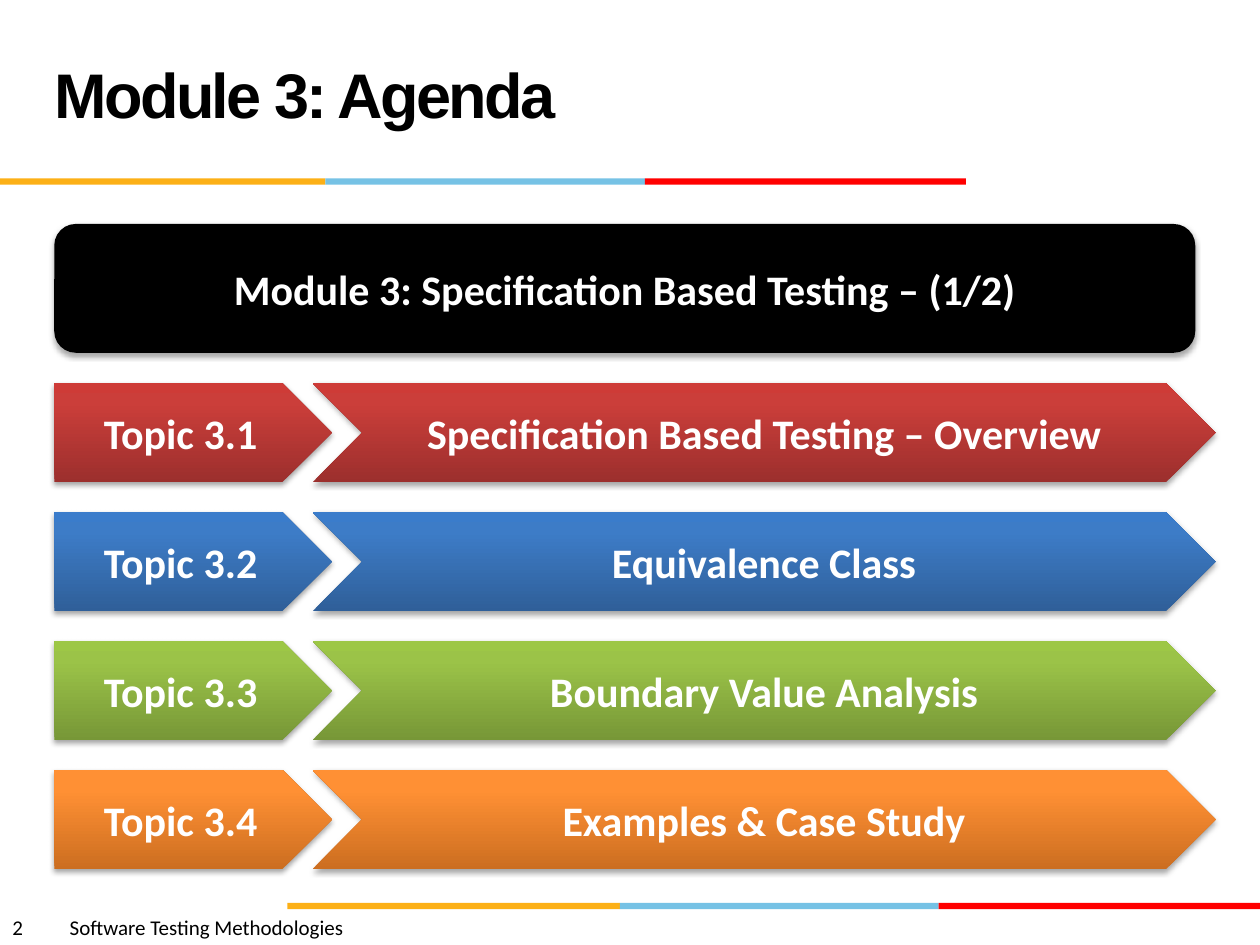
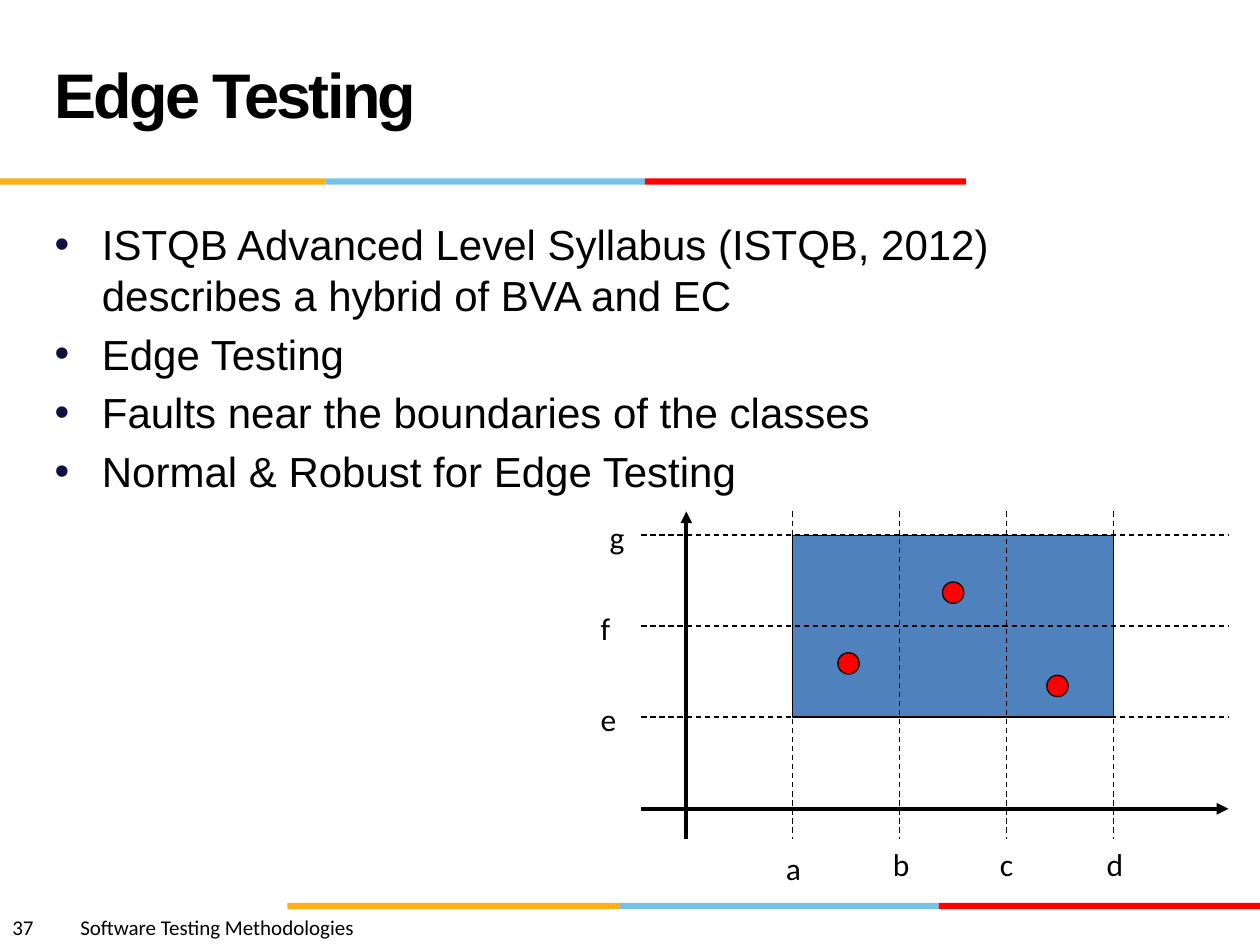
import copy

import lxml.etree as etree
import pptx
import pptx.dml.color
import pptx.enum.dml
import pptx.enum.shapes
import pptx.enum.text
import pptx.oxml.ns
import pptx.util

Pt = pptx.util.Pt
RGB = pptx.dml.color.RGBColor
qn = pptx.oxml.ns.qn
SHAPE = pptx.enum.shapes.MSO_SHAPE
ALIGN = pptx.enum.text.PP_ALIGN
ANCHOR = pptx.enum.text.MSO_ANCHOR
FIT = pptx.enum.text.MSO_AUTO_SIZE

BLACK = RGB(0x00, 0x00, 0x00)
WHITE = RGB(0xFF, 0xFF, 0xFF)
AMBER = RGB(0xFC, 0xB0, 0x17)
SKY = RGB(0x76, 0xC2, 0xE5)
RED = RGB(0xFF, 0x00, 0x00)
NAVY = RGB(0x10, 0x11, 0x41)
PLANE = RGB(0x4F, 0x81, 0xBD)

# Gradients run from the bottom edge to the top edge.
STOPS = (0, 0.8, 1)
BRICK = (RGB(0x9C, 0x2F, 0x2D), RGB(0xCB, 0x3E, 0x3A), RGB(0xCE, 0x3B, 0x37))
BLUE = (RGB(0x2F, 0x5F, 0x99), RGB(0x3D, 0x7C, 0xC7), RGB(0x3A, 0x7C, 0xCB))
GREEN = (RGB(0x77, 0x97, 0x37), RGB(0x9B, 0xC3, 0x48), RGB(0x9D, 0xC7, 0x46))
ORANGE = (RGB(0xCC, 0x6E, 0x20), RGB(0xFF, 0x90, 0x34), RGB(0xFF, 0x91, 0x36))

HEAD, BODY = "Arial", "Calibri"
COURSE = "Software Testing Methodologies"
TOPICS = (
    ("Topic 3.1", "Specification Based Testing – Overview", BRICK),
    ("Topic 3.2", "Equivalence Class", BLUE),
    ("Topic 3.3", "Boundary Value Analysis", GREEN),
    ("Topic 3.4", "Examples & Case Study", ORANGE),
)
POINTS = (
    "ISTQB Advanced Level Syllabus (ISTQB, 2012) describes a hybrid of BVA and EC",
    "Edge Testing",
    "Faults near the boundaries of the classes",
    "Normal & Robust for Edge Testing",
)


def node(parent, tag, **attrs):
    """Append a DrawingML element and return it."""
    return etree.SubElement(parent, qn(tag), attrs)


def place(shape, x, y, w, h):
    shape.left, shape.top, shape.width, shape.height = map(Pt, (x, y, w, h))


def write(para, text, size, color=BLACK, name=BODY, bold=False):
    run = para.add_run()
    run.text = text
    font = run.font
    font.size, font.name, font.bold = Pt(size), name, bold
    font.color.rgb = color
    return run


def draw(slide, kind, x, y, w, h, fill, line=None):
    shape = slide.shapes.add_shape(kind, Pt(x), Pt(y), Pt(w), Pt(h))
    shape.shadow.inherit = False
    shape.fill.solid()
    shape.fill.fore_color.rgb = fill
    if line is None:
        shape.line.fill.background()
    else:
        shape.line.color.rgb = line
        shape.line.width = Pt(0.75)
    return shape


def shade(shape, colors):
    """Fill with a three-stop vertical gradient."""
    shape.fill.gradient()
    shape.fill.gradient_angle = 90
    stops = shape._element.spPr.find(".//" + qn("a:gsLst"))
    stops.insert(1, copy.deepcopy(stops[0]))
    for stop, spot, color in zip(shape.fill.gradient_stops, STOPS, colors):
        stop.position = spot
        stop.color.rgb = color


def lift(shape):
    """Give the shape a soft shadow below it."""
    effects = shape._element.spPr.find(qn("a:effectLst"))
    cast = node(effects, "a:outerShdw", blurRad=str(Pt(3.1)), dist=str(Pt(1.8)),
                dir="5400000", rotWithShape="0")
    tint = node(cast, "a:srgbClr", val=str(BLACK))
    node(tint, "a:alpha", val="35000")


def banner(slide, kind, x, y, w, h, text, colors=None):
    shape = draw(slide, kind, x, y, w, h, BLACK)
    if colors:
        shade(shape, colors)
    lift(shape)
    frame = shape.text_frame
    frame.word_wrap = True
    frame.vertical_anchor = ANCHOR.MIDDLE
    para = frame.paragraphs[0]
    para.alignment = ALIGN.CENTER
    write(para, text, 24, WHITE, bold=True)


def rule(slide, start, end, width=0.75, dash=True):
    """Draw a dashed guide, or a solid axis with an arrow at its end."""
    line = slide.shapes.add_connector(
        pptx.enum.shapes.MSO_CONNECTOR.STRAIGHT, *map(Pt, start + end))
    line.line.color.rgb = BLACK
    line.line.width = Pt(width)
    if dash:
        line.line.dash_style = pptx.enum.dml.MSO_LINE.DASH
    else:
        node(line.line._get_or_add_ln(), "a:tailEnd", type="triangle")
    node(line._element.spPr, "a:effectLst")


def label(slide, x, y, text):
    box = slide.shapes.add_textbox(Pt(x), Pt(y), Pt(21), Pt(21))
    box.text_frame.word_wrap = False
    write(box.text_frame.paragraphs[0], text, 18)


def band(slide, y, edges):
    for left, right, color in zip(edges, edges[1:], (AMBER, SKY, RED)):
        draw(slide, SHAPE.RECTANGLE, left, y, right - left, 3.6, color)


def footer(slide, number):
    box = slide.shapes.add_textbox(Pt(0), Pt(519), Pt(360), Pt(21.6))
    box.text_frame.word_wrap = True
    para = box.text_frame.paragraphs[0]
    tabs = node(para._p.get_or_add_pPr(), "a:tabLst")
    node(tabs, "a:tab", pos=str(Pt(26.8 + 6 * len(number))), algn="l")
    write(para, number + "\t" + COURSE, 12)


def start(deck, layout, title, number):
    """Add a slide with its title, colour bands and footer."""
    slide = deck.slides.add_slide(deck.slide_layouts[layout])
    band(slide, 516, (164.2, 354.2, 536.4, 720))
    band(slide, 102, (0, 186, 368.6, 552))
    footer(slide, number)
    place(slide.shapes.title, 24, 12.2, 498, 90)
    frame = slide.shapes.title.text_frame
    frame.auto_size = FIT.NONE
    frame.vertical_anchor = ANCHOR.MIDDLE
    para = frame.paragraphs[0]
    para.alignment = ALIGN.LEFT
    para.line_spacing = Pt(36)
    run = write(para, title, 36, name=HEAD, bold=True)
    run.font._element.set("spc", "-150")
    return slide


def bullets(slide, items):
    body = slide.placeholders[1]
    place(body, 24, 121.5, 634, 350)
    frame = body.text_frame
    frame.auto_size = FIT.NONE
    for i, item in enumerate(items):
        para = frame.add_paragraph() if i else frame.paragraphs[0]
        para.space_before = Pt(4.8 if i else 0)
        props = para._p.get_or_add_pPr()
        props.set("marL", str(Pt(27)))
        props.set("indent", str(-Pt(27)))
        node(node(props, "a:buClr"), "a:srgbClr", val=str(NAVY))
        node(props, "a:buChar", char="•")
        write(para, item, 24, name=HEAD)


def agenda(deck):
    slide = start(deck, 5, "Module 3: Agenda", "2")
    for i, (topic, text, colors) in enumerate(TOPICS):
        y = 218.9 + 73.7 * i
        banner(slide, SHAPE.PENTAGON, 31, y, 158.6, 56.7, topic, colors)
        banner(slide, SHAPE.CHEVRON, 178.6, y, 516, 56.7, text, colors)
    banner(slide, SHAPE.ROUNDED_RECTANGLE, 31, 128, 652, 73.6,
           "Module 3: Specification Based Testing – (1/2)")


def graph(slide):
    left, right, top, foot = 366.5, 702, 292.3, 479.5
    cols = [453 + 61.1 * i for i in range(4)]
    rows = [409.8 - 52 * i for i in range(3)]
    draw(slide, SHAPE.RECTANGLE, cols[0], rows[-1], cols[-1] - cols[0],
         rows[0] - rows[-1], PLANE, BLACK)
    rule(slide, (392.2, foot), (392.2, top), 2.25, False)
    rule(slide, (left, 462.2), (right, 462.2), 2.25, False)
    for x, name, y in zip(cols, "abcd", (481.7, foot, foot, foot)):
        rule(slide, (x, top), (x, foot))
        label(slide, x - 11, y, name)
    for y, name, x in zip(rows, "efg", (336.2, 336.2, 341.3)):
        rule(slide, (left, y), (right, y))
        label(slide, x, y - 13.2, name)
    for x, y in ((478.8, 373), (538.6, 332.6), (598.2, 385.9)):
        draw(slide, SHAPE.OVAL, x, y, 12.2, 12.2, RED, BLACK)


def edges(deck):
    slide = start(deck, 1, "Edge Testing", "37")
    bullets(slide, POINTS)
    graph(slide)


def main():
    deck = pptx.Presentation()
    deck.slide_width, deck.slide_height = Pt(720), Pt(540)
    agenda(deck)
    edges(deck)
    deck.save("out.pptx")


if __name__ == "__main__":
    main()
